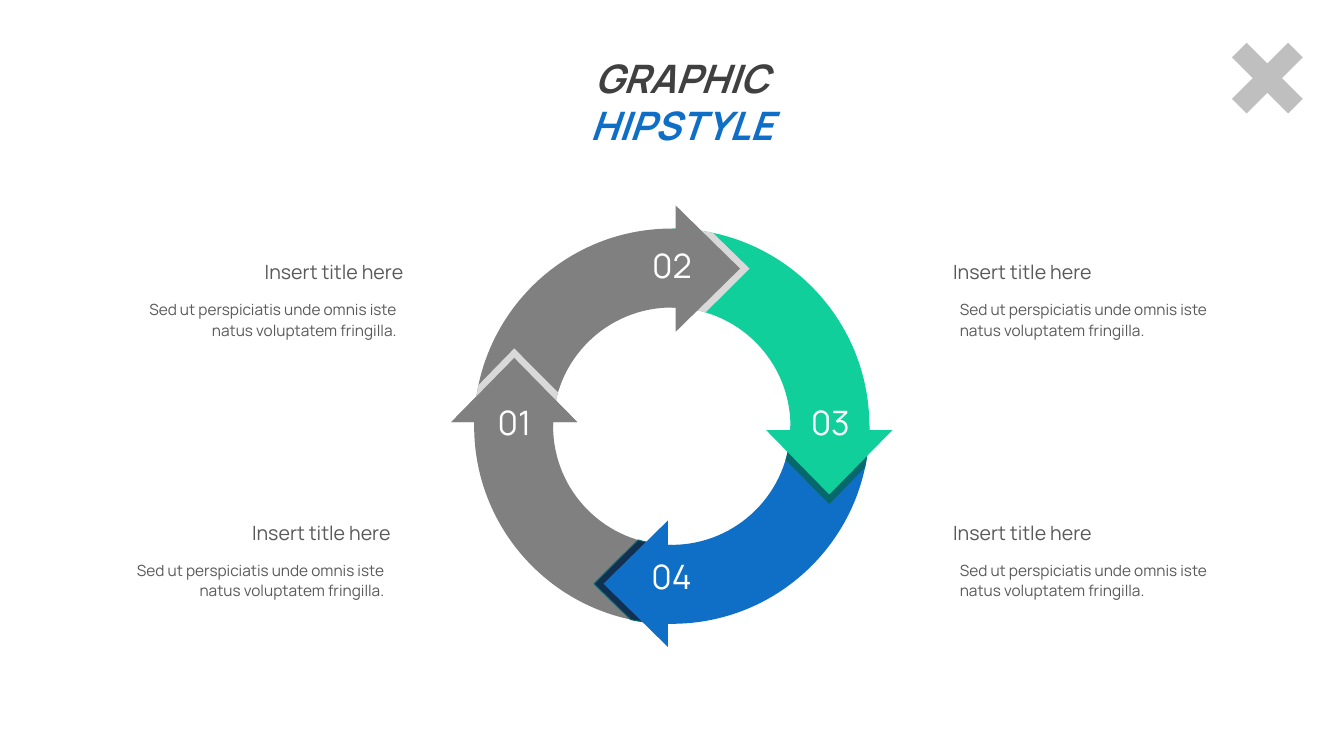
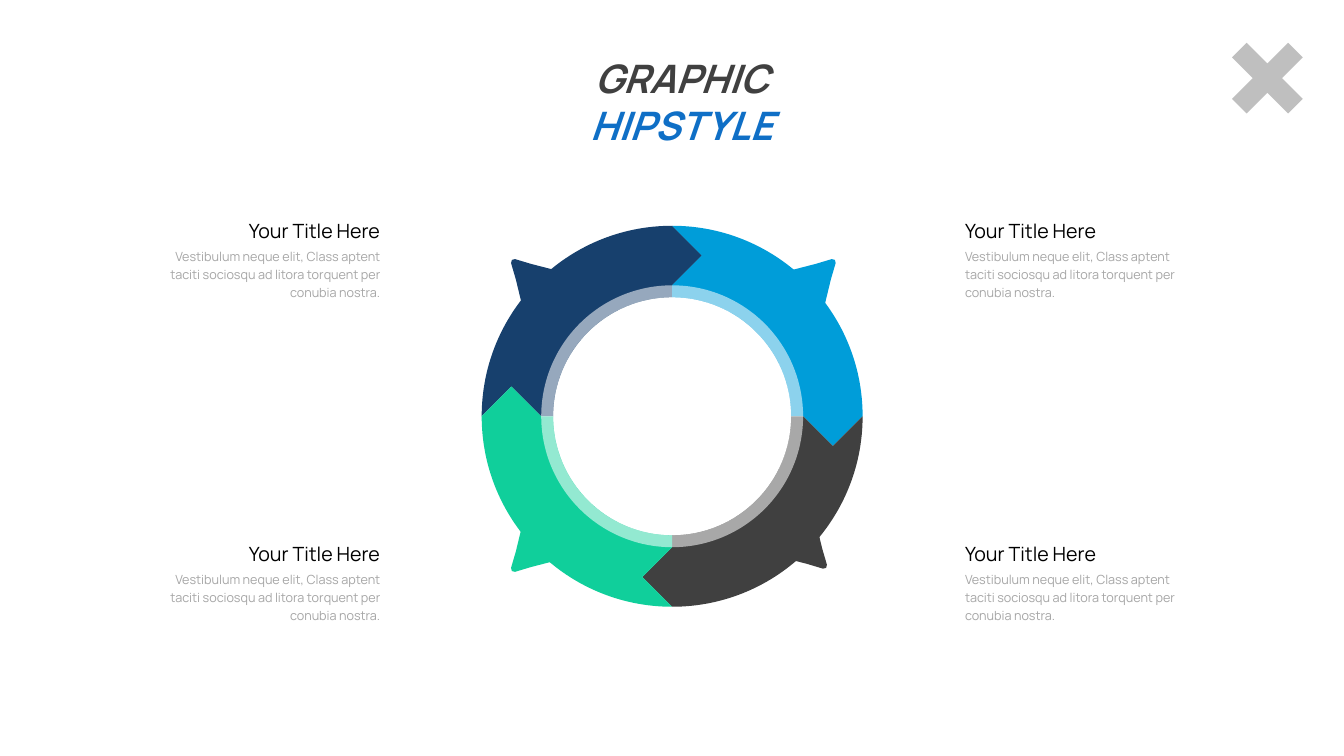
import math

from lxml import etree
from pptx import Presentation
from pptx import util as u
from pptx.dml.color import RGBColor
from pptx.enum import shapes, text
from pptx.oxml import ns

FONT = "Manrope"
WHITE = RGBColor(0xFF, 0xFF, 0xFF)
BLACK = RGBColor(0x00, 0x00, 0x00)
CHARCOAL = RGBColor(0x40, 0x40, 0x40)
SLATE = RGBColor(0x59, 0x59, 0x59)
GREY = RGBColor(0x80, 0x80, 0x80)
MUTED = RGBColor(0xA6, 0xA6, 0xA6)
SILVER = RGBColor(0xBF, 0xBF, 0xBF)
PALE = RGBColor(0xD9, 0xD9, 0xD9)
BLUE = RGBColor(0x0F, 0x6F, 0xC6)
SKY = RGBColor(0x00, 0x9D, 0xD9)
NAVY = RGBColor(0x17, 0x40, 0x6D)
MIDNIGHT = RGBColor(0x11, 0x30, 0x52)
GREEN = RGBColor(0x10, 0xCF, 0x9B)
TEAL = RGBColor(0x06, 0x68, 0x6C)
LEFT, CENTER, RIGHT = text.PP_ALIGN.LEFT, text.PP_ALIGN.CENTER, text.PP_ALIGN.RIGHT


def arc(radius, start, end):
    """Start point and one Bézier curve; degrees run clockwise from the top."""
    a, b = math.radians(start), math.radians(end)
    pull = radius * 4 / 3 * math.tan((b - a) / 4)
    first = (radius * math.sin(a), radius * math.cos(a))
    last = (radius * math.sin(b), radius * math.cos(b))
    return [first, [(first[0] + pull * math.cos(a), first[1] - pull * math.sin(a)),
                    (last[0] - pull * math.cos(b), last[1] + pull * math.sin(b)), last]]


def add_outline(slide, centre, steps, colour, quarter=0):
    """Filled outline from (right, up) steps in cm, turned clockwise by quarters.

    A step is a point, or a list of three points for a curve.
    """
    turn = math.radians(90 * quarter)
    cos, sin = math.cos(turn), math.sin(turn)
    points = [p for step in steps for p in (step if isinstance(step, list) else [step])]
    placed = [(u.Cm(centre[0] + right * cos + up * sin),
               u.Cm(centre[1] + right * sin - up * cos)) for right, up in points]
    builder = slide.shapes.build_freeform(*placed[0])
    builder.add_line_segments(placed[1:], close=True)
    outline = builder.convert_to_shape()
    # Merge the three segments of each curve into one Bézier segment
    segments = iter(list(outline.element.iter(ns.qn("a:lnTo"))))
    for step in steps[1:]:
        segment = next(segments)
        if isinstance(step, list):
            segment.addprevious(curve := etree.Element(ns.qn("a:cubicBezTo")))
            for piece in (segment, next(segments), next(segments)):
                curve.append(piece[0])
                piece.getparent().remove(piece)
    outline.shadow.inherit = False
    outline.fill.solid()
    outline.fill.fore_color.rgb = colour
    outline.line.fill.background()
    return outline


prs = Presentation()
prs.slide_width, prs.slide_height = u.Cm(33.87), u.Cm(19.05)
arrow_slide, ring_slide = [prs.slides.add_slide(prs.slide_layouts[5]) for _ in range(2)]

# Shared cross and title
for slide in (arrow_slide, ring_slide):
    cross = slide.shapes.add_shape(shapes.MSO_SHAPE.CROSS, u.Cm(30.94), u.Cm(0.97),
                                   u.Cm(2), u.Cm(2))
    cross.adjustments[0] = 0.37
    cross.rotation = 45
    cross.shadow.inherit = False
    cross.fill.solid()
    cross.fill.fore_color.rgb = SILVER
    cross.line.fill.background()

    title = slide.shapes.title
    title.left, title.top, title.width, title.height = (
        u.Cm(12.4), u.Cm(1.24), u.Cm(9.55), u.Cm(2.62))
    title.text_frame.vertical_anchor = text.MSO_ANCHOR.TOP
    title.text_frame.auto_size = text.MSO_AUTO_SIZE.NONE
    heading = title.text_frame.paragraphs[0]
    heading.alignment = CENTER
    for words, colour in (("GRAPHIC", CHARCOAL), (" HIPSTYLE", BLUE)):
        run = heading.add_run()
        run.text = words
        run.font.name, run.font.size = FONT, u.Pt(28)
        run.font.bold = run.font.italic = True
        run.font.color.rgb = colour

# Slide 1: four arrows chasing each other, each with a shadow band ahead of its head
cycle_centre = (16.93, 10.74)
outer, inner, middle = 4.98, 2.99, 3.97
head_base, head_tip, head_half = 0.1, 1.72, 1.59
head = [(head_base, middle + head_half), (head_tip, middle), (head_base, middle - head_half)]
arrow = (arc(outer, -90, 0) + [(head_base, outer)] + head
         + [(head_base, inner)] + arc(inner, 0, -90))
band = arc(outer, 4, 12) + [(head_tip + 0.24, middle)] + arc(inner, 16.5, 4)

add_outline(arrow_slide, cycle_centre, arrow, GREY, 3)
for quarter, arrow_colour, band_colour in ((2, BLUE, MIDNIGHT), (1, GREEN, TEAL),
                                           (0, GREY, PALE)):
    shade = add_outline(arrow_slide, cycle_centre, band, band_colour, quarter)
    if band_colour == MIDNIGHT:
        shade.line.color.rgb = TEAL
        shade.line.width = u.Pt(0.75)
    add_outline(arrow_slide, cycle_centre, arrow, arrow_colour, quarter)
add_outline(arrow_slide, cycle_centre, band, PALE, 3)
add_outline(arrow_slide, cycle_centre, head, GREY, 3)

# Slide 2: ring of four interlocking segments with corner pointers
ring_centre = (16.94, 10.49)
rim, lip, hole, notch = 4.8, 3.3, 3, 0.75
core = (rim + lip) / 2
segment = (arc(rim, -90, 0) + [(notch, core), (0, lip)] + arc(hole, 0, -90)
           + [(-lip, 0), (-core, notch)])
pointer = [(3.96, 3.96), (4.04, 3.94), (4.06, 3.86), (3.94, 3.45), (3.78, 2.79),
           (3.73, 2.74), (3.66, 2.77), (2.87, 3.56), (2.84, 3.63), (2.9, 3.67),
           (3.56, 3.84)]
# colour, pointer side (right, up), pointer shift (right, up)
quarters = [(NAVY, (-1, 1), (0, 0)), (SKY, (1, 1), (0.06, 0)),
            (CHARCOAL, (1, -1), (-0.16, 0.12)), (GREEN, (-1, -1), (0, 0.04))]
for quarter, (colour, side, shift) in enumerate(quarters):
    add_outline(ring_slide, ring_centre, segment, colour, quarter)
    corner = [(right * side[0] + shift[0], up * side[1] + shift[1]) for right, up in pointer]
    add_outline(ring_slide, ring_centre, corner, colour)

# Translucent inner band
glaze = ring_slide.shapes.add_shape(
    shapes.MSO_SHAPE.DONUT, u.Cm(ring_centre[0] - lip), u.Cm(ring_centre[1] - lip),
    u.Cm(2 * lip), u.Cm(2 * lip))
glaze.adjustments[0] = (lip - hole) / (2 * lip)
glaze.shadow.inherit = False
glaze.fill.solid()
glaze.fill.fore_color.rgb = WHITE
glaze.line.fill.background()
tint = next(glaze.element.iter(ns.qn("a:srgbClr")))
etree.SubElement(tint, ns.qn("a:alpha")).set("val", "55000")

# Text: numbers on the arrows, then a title and a description in each corner
# Entries: slide, (left, top, width, height), words, size, colour, alignment, line spacing
labels = []
for number, left, top in (("02", 16.15, 6.05), ("03", 20.14, 10.01),
                          ("04", 16.14, 13.88), ("01", 12.18, 10.01)):
    labels.append((arrow_slide, (left, top, 1.57, 1.27), number, 24, WHITE, CENTER, 1))

for title_left, body_left, top, align in ((6.1, 3.09, 6.43, RIGHT), (5.78, 2.78, 13, RIGHT),
                                          (23.77, 23.94, 6.43, LEFT),
                                          (23.77, 23.94, 13, LEFT)):
    labels.append((arrow_slide, (title_left, top, 4.32, 0.84), "Insert title here",
                   14, SLATE, align, 1))
    labels.append((arrow_slide, (body_left, top + 0.97, 7.16, 1.27),
                   "Sed ut perspiciatis unde omnis iste natus voluptatem fringilla.",
                   11, SLATE, align, 1.1))

for title_left, body_left, align in ((3.91, 4.01, RIGHT), (24.07, 24.07, LEFT)):
    for top in (5.28, 13.42):
        labels.append((ring_slide, (title_left, top, 5.92, 0.97), "Your Title Here",
                       14, BLACK, align, 1.2))
        labels.append((ring_slide, (body_left, top + 0.78, 5.82, 1.63),
                       "Vestibulum neque elit, Class aptent taciti sociosqu ad litora "
                       "torquent per conubia nostra.", 9, MUTED, align, 1.2))

for slide, place, words, size, colour, align, spacing in labels:
    frame = slide.shapes.add_textbox(*[u.Cm(length) for length in place]).text_frame
    frame.word_wrap = align != CENTER
    paragraph = frame.paragraphs[0]
    paragraph.alignment = align
    paragraph.line_spacing = float(spacing)
    run = paragraph.add_run()
    run.text = words
    run.font.name, run.font.size = FONT, u.Pt(size)
    run.font.color.rgb = colour

prs.save("out.pptx")
